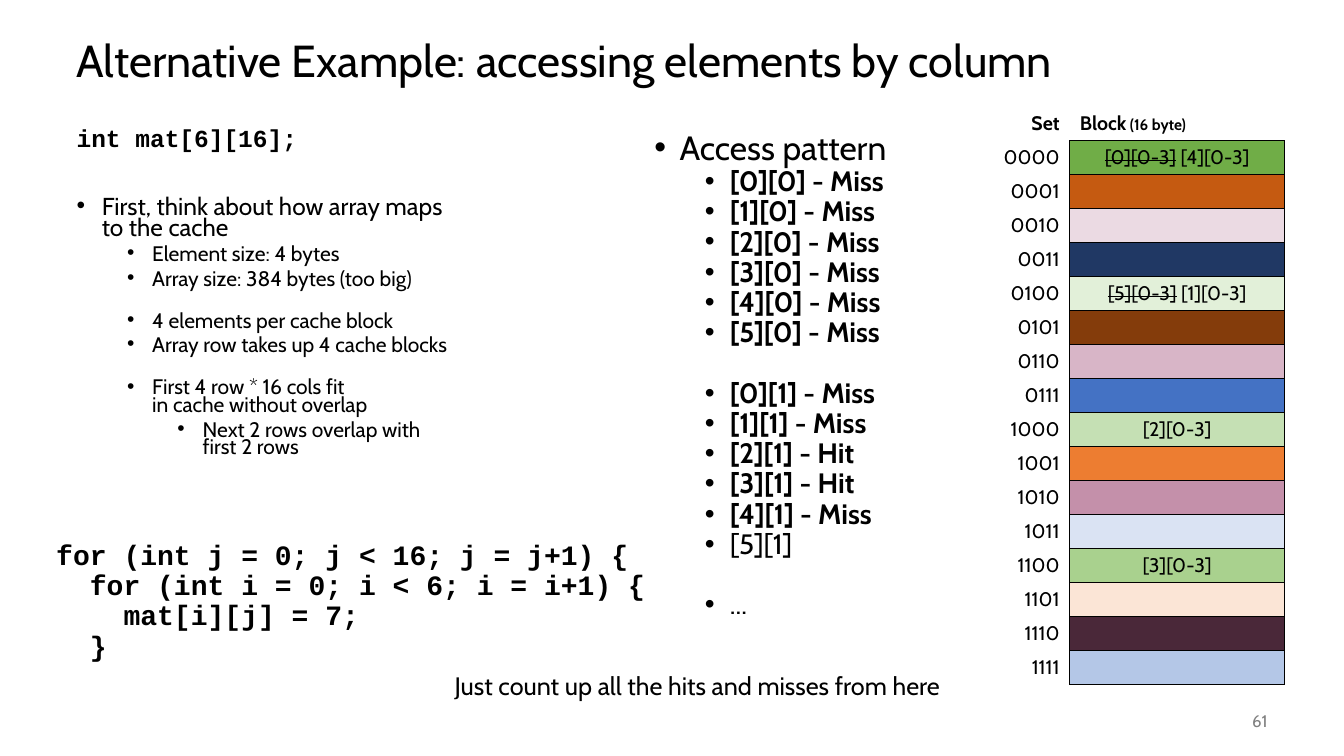
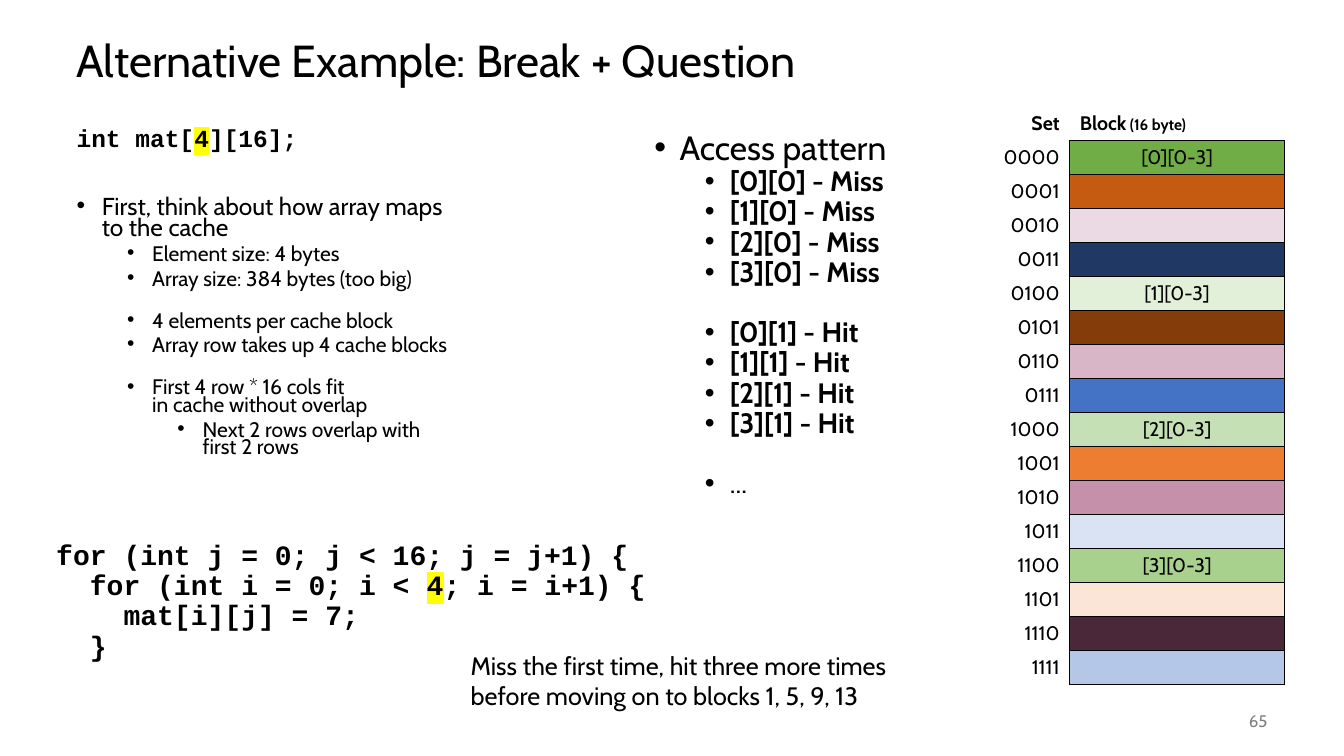
from copy import deepcopy

from lxml import etree
from pptx import Presentation
from pptx.dml.color import RGBColor
from pptx.enum import text as t
from pptx.oxml import ns
from pptx.util import Inches, Pt

BLACK = RGBColor(0x00, 0x00, 0x00)
GRAY = RGBColor(0x80, 0x80, 0x80)
WHITE = RGBColor(0xFF, 0xFF, 0xFF)
YELLOW = RGBColor(0xFF, 0xFF, 0x00)
SET_COLORS = [RGBColor.from_string(value) for value in (
    "70AD47", "C55A11", "EBDAE3", "203864",
    "E2F0D9", "843C0B", "D8B5C7", "4472C4",
    "C5E0B4", "ED7D31", "C490AA", "DAE3F3",
    "A9D18E", "FBE5D6", "4A2839", "B4C7E7",
)]
SANS, MONO = "Cabin", "Courier New"
NO_STYLE = "{2D5ABB26-0587-4C30-8999-92F81FD0307C}"

TITLE_BOX = (0.66, 0.25, 12, 0.75)
NOTES_BOX = (0.66, 1.25, 3.93, 3.57)
CODE_BOX = (0.46, 5.32, 7.57, 1.4)
ACCESS_BOX = (6.39, 1.25, 6.28, 5.5)
CACHE_BOX = (9.72, 1.06, 3.02, 5.67)
NUMBER_BOX = (11.67, 6.95, 1, 0.4)

ARRAY_NOTES = [
    (0, "First, think about how array maps to the cache", 34),
    (1, "Element size: 4 bytes", 5),
    (1, "Array size: 384 bytes (too big)", 5),
    (1, "4 elements per cache block", 17.5),
    (1, "Array row takes up 4 cache blocks", 5),
    (1, "First 4 row * 16 cols fit\nin cache without overlap", 17.5),
    (2, "Next 2 rows overlap with first 2 rows", 5),
]


def sub(parent, tag, **attributes):
    return etree.SubElement(parent, ns.qn(tag), **attributes)


def add_text(paragraph, content, size=18, font=SANS, color=BLACK, bold=False,
             strike=False, highlight=None):
    for index, line in enumerate(content.split("\n")):
        if index:
            paragraph.add_line_break()
            line_break = paragraph._p[-1]
            line_break.append(deepcopy(run._r.rPr))
        run = paragraph.add_run()
        run.text = line
        run.font.size, run.font.name, run.font.bold = Pt(size), font, bold
        run.font.color.rgb = color
        properties = run._r.rPr
        if strike:
            properties.set("strike", "sngStrike")
        if highlight:
            mark = etree.Element(ns.qn("a:highlight"))
            sub(mark, "a:srgbClr", val=str(highlight))
            properties.find(ns.qn("a:solidFill")).addnext(mark)


def add_paragraph(frame, level=0, bullet=False, spacing=1.0, before=0,
                  align=t.PP_ALIGN.LEFT):
    first = frame.paragraphs[0]
    paragraph = frame.add_paragraph() if first.runs else first
    paragraph.level = level
    properties = paragraph._p.get_or_add_pPr()
    properties.set("marL", str(Inches(0.25 + 0.5 * level) if bullet else 0))
    properties.set("indent", str(Inches(-0.25) if bullet else 0))
    if bullet:
        sub(properties, "a:buFont", typeface="Arial")
        sub(properties, "a:buChar", char="•")
    else:
        sub(properties, "a:buNone")
    paragraph.alignment = align
    paragraph.line_spacing = spacing
    paragraph.space_before = Pt(before)
    paragraph.space_after = Pt(0)
    return paragraph


def place(shape, box, anchor=t.MSO_ANCHOR.TOP):
    shape.left, shape.top, shape.width, shape.height = map(Inches, box)
    frame = shape.text_frame
    frame.word_wrap = True
    frame.auto_size = t.MSO_AUTO_SIZE.NONE
    frame.vertical_anchor = anchor
    return frame


def new_text_box(slide, box, anchor=t.MSO_ANCHOR.TOP):
    return place(slide.shapes.add_textbox(0, 0, 0, 0), box, anchor)


def add_title(slide, box, title):
    frame = place(slide.shapes.title, box, t.MSO_ANCHOR.MIDDLE)
    add_text(add_paragraph(frame, spacing=0.9), title, size=32)


def add_code_line(frame, parts, highlight, spacing, size):
    line = add_paragraph(frame, spacing=spacing)
    for index, part in enumerate(parts):
        add_text(line, part, size=size, font=MONO, bold=True,
                 highlight=highlight if index == 1 else None)


def add_notes(slide, box, rows, highlight):
    frame = place(slide.placeholders[1], box)
    add_code_line(frame, ["int mat[", rows, "][16];"], highlight, 0.7, 17.5)
    for level, note, before in ARRAY_NOTES:
        item = add_paragraph(frame, level, True, 0.7, before)
        add_text(item, note, size=15 if level else 17.5)


def add_loop_code(slide, box, rows, highlight):
    frame = new_text_box(slide, box)
    for parts in (
        ["for (int j = 0; j < 16; j = j+1) {"],
        ["  for (int i = 0; i < ", rows, "; i = i+1) {"],
        ["    mat[i][j] = 7;"],
        ["  }"],
    ):
        add_code_line(frame, parts, highlight, 0.9, 20)


def add_access_pattern(slide, box, passes):
    frame = place(slide.placeholders[2], box)
    add_text(add_paragraph(frame, 0, True, 0.9), "Access pattern", size=24)
    gap = 0
    for column, outcomes in enumerate(passes):
        for row, outcome in enumerate(outcomes):
            item = add_paragraph(frame, 1, True, 0.9, 0 if row else gap)
            element = f"[{row}][{column}]"
            add_text(item, f"{element} - {outcome}" if outcome else element,
                     size=20, bold=bool(outcome))
        gap = 21.6
    add_text(add_paragraph(frame, 1, True, 0.9, gap), "...", size=20)


def outline_cell(cell):
    properties = cell._tc.get_or_add_tcPr()
    for index, side in enumerate(("a:lnL", "a:lnR", "a:lnT", "a:lnB")):
        line = etree.Element(ns.qn(side), w=str(Pt(1)))
        sub(sub(line, "a:solidFill"), "a:srgbClr", val=str(BLACK))
        properties.insert(index, line)


def fill_cell(cell, color):
    cell.fill.solid()
    cell.fill.fore_color.rgb = color
    cell.vertical_anchor = t.MSO_ANCHOR.MIDDLE


def add_cache_table(slide, box, blocks):
    row_count = len(SET_COLORS) + 1
    table = slide.shapes.add_table(row_count, 2, *map(Inches, box)).table
    table.first_row = table.horz_banding = False
    table._tbl.tblPr.find(ns.qn("a:tableStyleId")).text = NO_STYLE
    table.columns[0].width, table.columns[1].width = Inches(0.89), Inches(2.13)

    set_head, block_head = table.cell(0, 0), table.cell(0, 1)
    fill_cell(set_head, WHITE)
    fill_cell(block_head, WHITE)
    add_text(add_paragraph(set_head.text_frame, align=t.PP_ALIGN.RIGHT),
             "Set", size=14, bold=True)
    heading = add_paragraph(block_head.text_frame)
    add_text(heading, "Block", size=14, bold=True)
    add_text(heading, " (16 byte)", size=11, bold=True)

    for index, color in enumerate(SET_COLORS):
        set_cell, block = table.cell(index + 1, 0), table.cell(index + 1, 1)
        fill_cell(set_cell, WHITE)
        add_text(add_paragraph(set_cell.text_frame, align=t.PP_ALIGN.RIGHT),
                 f"{index:04b}", size=14)
        fill_cell(block, color)
        block.margin_top = block.margin_bottom = 0
        outline_cell(block)
        if index in blocks:
            evicted, current = blocks[index]
            content = add_paragraph(block.text_frame, align=t.PP_ALIGN.CENTER)
            if evicted:
                add_text(content, evicted, size=14, strike=True)
                add_text(content, " ", size=14)
            add_text(content, current, size=14)


def add_caption(slide, box, caption):
    add_text(add_paragraph(new_text_box(slide, box)), caption)


def add_slide_number(slide, box, number):
    frame = new_text_box(slide, box, t.MSO_ANCHOR.MIDDLE)
    add_text(add_paragraph(frame, align=t.PP_ALIGN.RIGHT), number,
             size=12, color=GRAY)


def add_example(deck, title, number, rows, passes, blocks, caption,
                caption_box, highlight=None):
    slide = deck.slides.add_slide(deck.slide_layouts[3])
    add_title(slide, TITLE_BOX, title)
    add_slide_number(slide, NUMBER_BOX, number)
    add_notes(slide, NOTES_BOX, rows, highlight)
    add_loop_code(slide, CODE_BOX, rows, highlight)
    add_access_pattern(slide, ACCESS_BOX, passes)
    add_cache_table(slide, CACHE_BOX, blocks)
    add_caption(slide, caption_box, caption)


def main():
    deck = Presentation()
    deck.slide_width, deck.slide_height = Inches(13.33), Inches(7.5)
    add_example(
        deck, "Alternative Example: accessing elements by column", "61", "6",
        passes=[["Miss"] * 6, ["Miss", "Miss", "Hit", "Hit", "Miss", ""]],
        blocks={0: ("[0][0-3]", "[4][0-3]"), 4: ("[5][0-3]", "[1][0-3]"),
                8: ("", "[2][0-3]"), 12: ("", "[3][0-3]")},
        caption="Just count up all the hits and misses from here",
        caption_box=(4.41, 6.6, 5.42, 0.4),
    )
    add_example(
        deck, "Alternative Example: Break + Question", "65", "4",
        passes=[["Miss"] * 4, ["Hit"] * 4],
        blocks={4 * row: ("", f"[{row}][0-3]") for row in range(4)},
        caption="Miss the first time, hit three more times\n"
                "before moving on to blocks 1, 5, 9, 13",
        caption_box=(4.57, 6.4, 5.42, 0.71),
        highlight=YELLOW,
    )
    deck.save("out.pptx")


if __name__ == "__main__":
    main()
